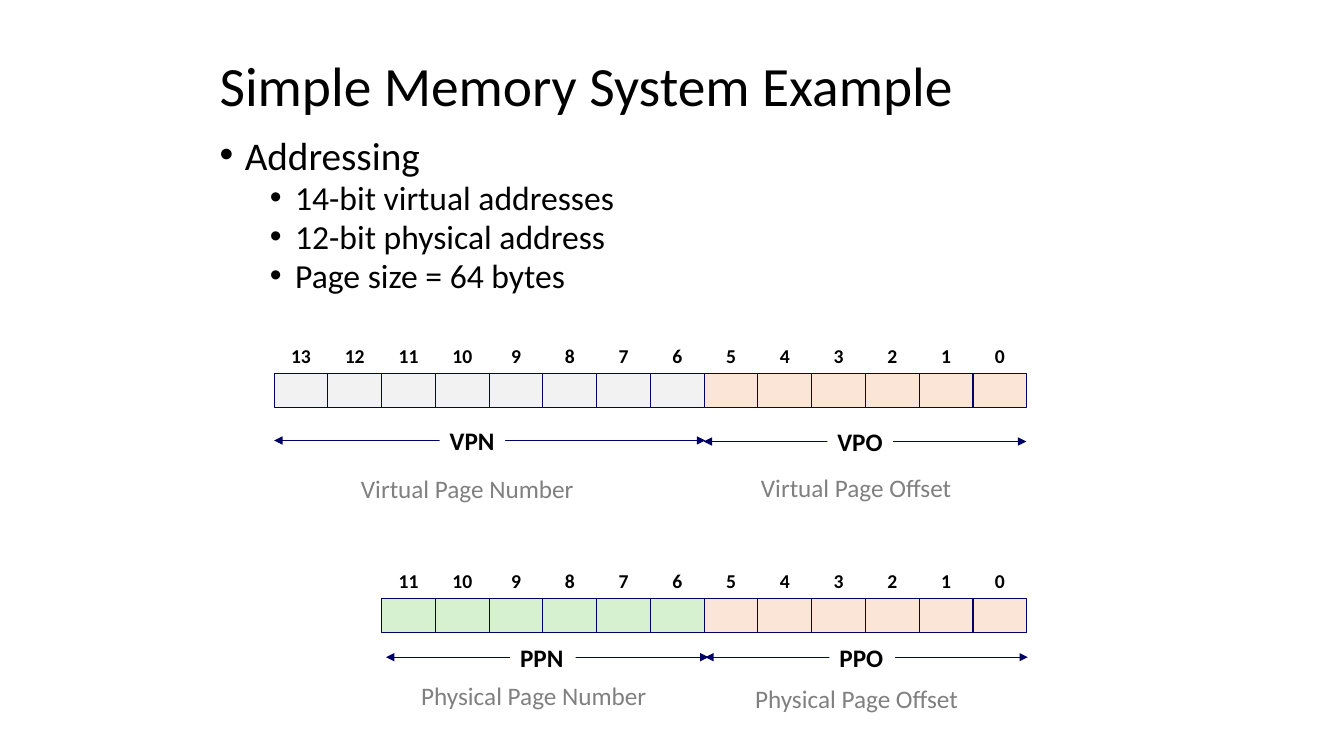
from lxml.etree import SubElement
from pptx import Presentation
from pptx.dml.color import RGBColor
from pptx.enum.shapes import MSO_CONNECTOR, MSO_SHAPE
from pptx.enum.text import MSO_ANCHOR, PP_ALIGN
from pptx.oxml.ns import qn
from pptx.util import Inches, Pt

BLACK, GREY, WHITE, NAVY = "000000", "808080", "FFFFFF", "000066"
PALE_GREY, PEACH, GREEN = "F2F2F2", "FBE5D6", "D5F1CF"

deck = Presentation()
deck.slide_width, deck.slide_height = Inches(13.33), Inches(7.5)
slide = deck.slides.add_slide(deck.slide_layouts[6])
column, row = deck.slide_width / 25, deck.slide_height / 22.5


def rgb(colour):
    return RGBColor.from_string(colour)


def write(lines, left, top, width, height, size, colour=BLACK, bold=False,
          align=PP_ALIGN.LEFT, anchor=MSO_ANCHOR.TOP, spacing=0.88, wrap=False, bullet=False):
    box = slide.shapes.add_textbox(int(left * column), int(top * row),
                                   int(width * column), int(height * row))
    frame = box.text_frame
    frame.word_wrap, frame.vertical_anchor = wrap, anchor
    frame.text = "\n".join(lines)
    for index, paragraph in enumerate(frame.paragraphs):
        paragraph.alignment, paragraph.line_spacing = align, spacing
        if index:
            paragraph.level, paragraph.space_before = 1, Pt(5)
        if bullet:
            properties = paragraph._p.get_or_add_pPr()
            properties.set("marL", str(Inches(0.75 if index else 0.25)))
            properties.set("indent", str(Inches(-0.25)))
            SubElement(properties, qn("a:buFont"), typeface="Arial")
            SubElement(properties, qn("a:buChar"), char="•")
        font = paragraph.font
        font.name, font.bold = "Calibri", bold
        font.size = Pt(size - 4 if index else size)
        font.color.rgb = rgb(colour)
    return box


write(["Simple Memory System Example"], 3.9, 1.68, 14.98, 1.89, 39.6,
      anchor=MSO_ANCHOR.MIDDLE, spacing=0.9, wrap=True)
write(["Addressing", "14-bit virtual addresses", "12-bit physical address", "Page size = 64 bytes"],
      3.9, 4.02, 17.04, 5.19, 28, spacing=0.8, wrap=True, bullet=True)

first_column, offset_bits, virtual_bits = 5.1, 6, 14
addresses = [(virtual_bits, 11.13, PALE_GREY), (12, 17.82, GREEN)]
for bits, top, page_colour in addresses:
    for bit in reversed(range(bits)):
        left = first_column + virtual_bits - 1 - bit
        cell = slide.shapes.add_shape(MSO_SHAPE.RECTANGLE, int(left * column), int(top * row),
                                      int(column), int(row))
        cell.shadow.inherit = False
        cell.fill.solid()
        cell.fill.fore_color.rgb = rgb(PEACH if bit < offset_bits else page_colour)
        cell.line.color.rgb = rgb(NAVY)
        cell.line.width = Pt(0.75)
        write([str(bit)], left, top - 1, 1, 1, 14, bold=True,
              align=PP_ALIGN.CENTER, anchor=MSO_ANCHOR.MIDDLE)

fields = [
    ("VPO", 13.09, 6, 13.14, 15.39, "Virtual Page Offset", 13.97, 14.04, 4.05),
    ("PPO", 13.12, 6, 19.56, 15.43, "Physical Page Offset", 13.86, 20.31, 4.29),
    ("PPN", 7.18, 6, 19.56, 9.49, "Physical Page Number", 7.65, 20.22, 4.69),
    ("VPN", 5.1, 8.02, 13.11, 8.18, "Virtual Page Number", 6.53, 14.07, 4.46),
]
for field, start, span, level, field_left, meaning, meaning_left, meaning_top, meaning_width in fields:
    extent = slide.shapes.add_connector(MSO_CONNECTOR.STRAIGHT, int(start * column), int(level * row),
                                        int((start + span) * column), int(level * row))
    extent.line.color.rgb = rgb(NAVY)
    extent.line.width = Pt(0.75)
    for end in ("a:headEnd", "a:tailEnd"):
        SubElement(extent.line._get_or_add_ln(), qn(end), type="triangle")
    SubElement(extent._element.spPr, qn("a:effectLst"))
    tag = write([field], field_left, level - 0.48, 1.22, 1.08, 18, bold=True)
    tag.fill.solid()
    tag.fill.fore_color.rgb = rgb(WHITE)
    write([meaning], meaning_left, meaning_top, meaning_width, 1.08, 18, GREY)

deck.save("out.pptx")
